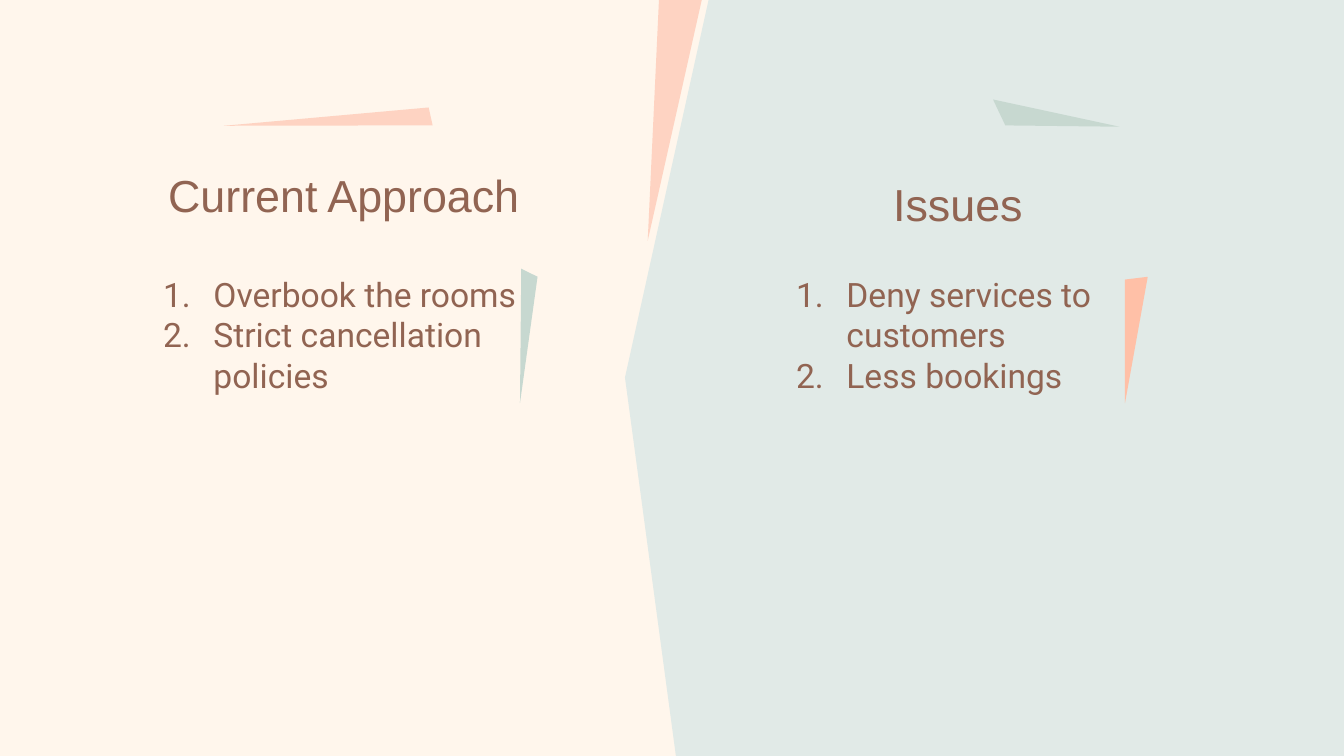
from lxml import etree
from pptx import Presentation
from pptx import util as u
from pptx.dml.color import RGBColor
from pptx.enum import text
from pptx.oxml.ns import qn

# Content: heading and numbered points, each with the left and top of its box
COLUMNS = [
    {"heading": "Current Approach", "heading_at": (67.5, 81.5), "list_at": (71.3, 139.5),
     "points": ["Overbook the rooms", "Strict cancellation policies"]},
    {"heading": "Issues", "heading_at": (396.5, 86.5), "list_at": (410.4, 139.5),
     "points": ["Deny services to customers", "Less bookings"]},
]

THEME = {
    "cream": "FFF6EC", "mist": "E1EAE7", "sage": "C7D8D0",
    "blush": "FED3C2", "peach": "FFC0A7", "brown": "916452",
    "heading": {"name": "Arial", "size": u.Pt(24)},
    "list": {"name": "Roboto", "size": u.Pt(18)},
}

# Decoration: colour and corners in points, from back to front
SHARDS = [
    ("mist", [(385.2, -25.2), (334.8, 202.3), (367.2, 442.8), (739.4, 442.8), (739.4, -22.3)]),
    ("blush", [(381.6, -25.2), (354.2, -25.2), (347, 129)]),
    ("blush", [(120, 67.4), (231.8, 67.2), (229.7, 57.6)]),
    ("sage", [(278.6, 216), (279.3, 144), (288, 148.3)]),
    ("sage", [(599.8, 67.9), (538.6, 67.2), (532, 53.3)]),
    ("peach", [(602.7, 216), (602.7, 149.8), (614.9, 148.3)]),
]

BOX_WIDTH, HEADING_HEIGHT, LIST_HEIGHT = 233.3, 45.4, 87.1
INSET, INDENT, HANGING = 7.2, 36, 27


def colour(name):
    return RGBColor.from_string(THEME[name])


def add_shard(page, fill, corners):
    corners = [(u.Pt(x), u.Pt(y)) for x, y in corners]
    builder = page.shapes.build_freeform(*corners[0], scale=1.0)
    builder.add_line_segments(corners[1:], close=True)
    shard = builder.convert_to_shape()
    shard.shadow.inherit = False
    shard.fill.solid()
    shard.fill.fore_color.rgb = colour(fill)
    shard.line.fill.background()


def add_text(page, at, height, lines, style, anchor, align):
    box = page.shapes.add_textbox(*map(u.Pt, (*at, BOX_WIDTH, height)))
    frame = box.text_frame
    settings = {"word_wrap": True, "vertical_anchor": anchor}
    for side in ("left", "right", "top", "bottom"):
        settings[f"margin_{side}"] = u.Pt(INSET)
    for key, value in settings.items():
        setattr(frame, key, value)
    for index, line in enumerate(lines):
        para = frame.add_paragraph() if index else frame.paragraphs[0]
        para.alignment = align
        span = para.add_run()
        span.text = line
        for key, value in THEME[style].items():
            setattr(span.font, key, value)
        span.font.color.rgb = colour("brown")
    return frame


def number_paragraphs(frame):
    for para in frame.paragraphs:
        props = para._p.get_or_add_pPr()
        props.set("marL", str(u.Pt(INDENT)))
        props.set("indent", str(-u.Pt(HANGING)))
        tint = etree.SubElement(props, qn("a:buClr"))
        etree.SubElement(tint, qn("a:srgbClr"), val=THEME["brown"])
        etree.SubElement(props, qn("a:buAutoNum"), type="arabicPeriod")


def main():
    deck = Presentation()
    deck.slide_width, deck.slide_height = u.Pt(720), u.Pt(405)
    page = deck.slides.add_slide(deck.slide_layouts[6])
    page.background.fill.solid()
    page.background.fill.fore_color.rgb = colour("cream")

    # Angular shapes
    for fill, corners in SHARDS:
        add_shard(page, fill, corners)

    # Headings and numbered lists
    for column in COLUMNS:
        add_text(page, column["heading_at"], HEADING_HEIGHT, [column["heading"]],
                 "heading", text.MSO_ANCHOR.MIDDLE, text.PP_ALIGN.CENTER)
        points = add_text(page, column["list_at"], LIST_HEIGHT, column["points"],
                          "list", text.MSO_ANCHOR.TOP, text.PP_ALIGN.LEFT)
        number_paragraphs(points)

    deck.save("out.pptx")


if __name__ == "__main__":
    main()
